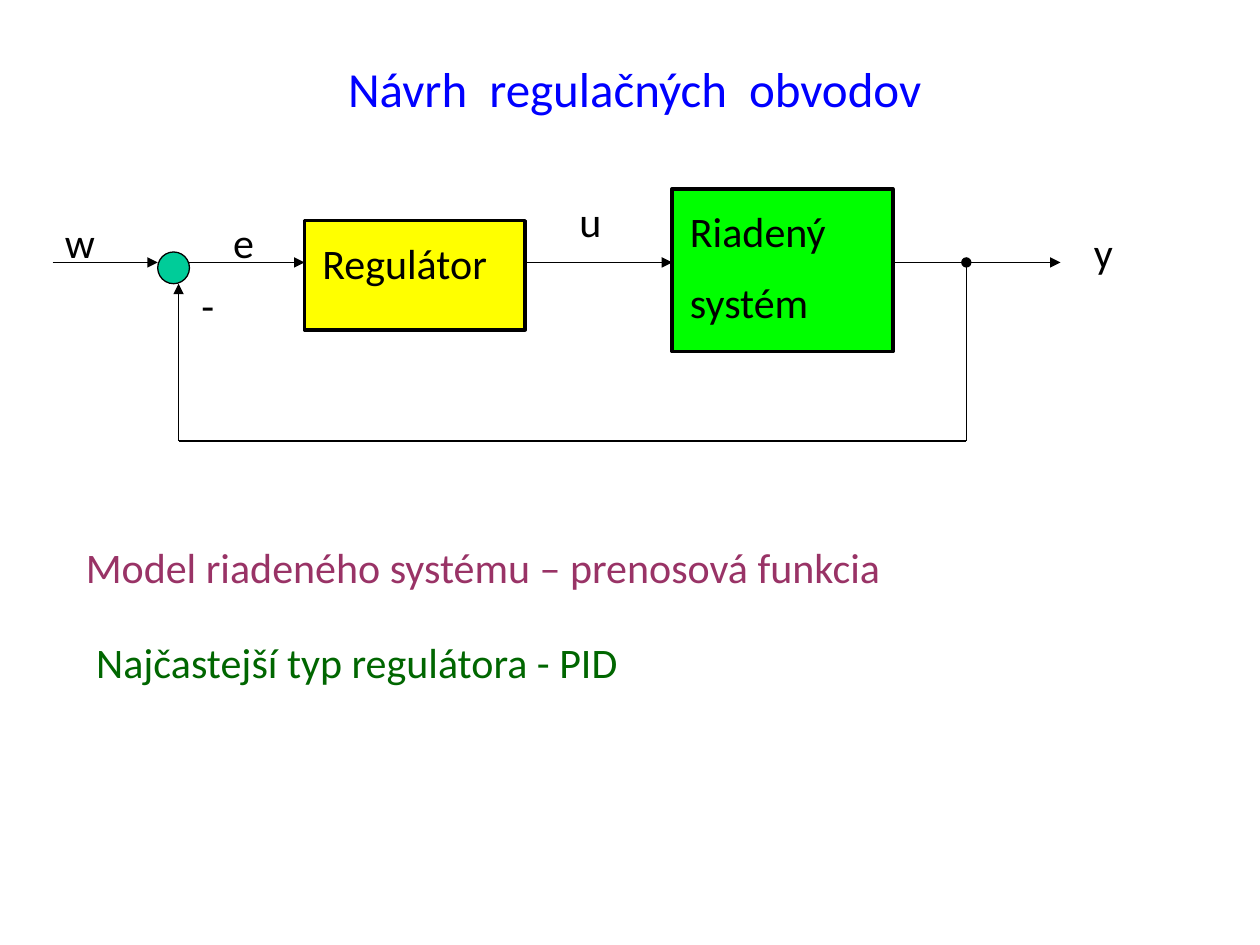
from pptx import Presentation
from pptx.dml.color import RGBColor
from pptx.enum.shapes import MSO_CONNECTOR, MSO_SHAPE
from pptx.enum.text import MSO_ANCHOR, PP_ALIGN
from pptx.oxml.ns import qn
from pptx.util import Cm, Pt
from lxml import etree

RECTANGLE, CIRCLE = MSO_SHAPE.RECTANGLE, MSO_SHAPE.OVAL
STRAIGHT = MSO_CONNECTOR.STRAIGHT
TOP, LEFT = MSO_ANCHOR.TOP, PP_ALIGN.LEFT

BLACK = RGBColor(0x00, 0x00, 0x00)
BLUE = RGBColor(0x00, 0x00, 0xFF)
YELLOW = RGBColor(0xFF, 0xFF, 0x00)
GREEN = RGBColor(0x00, 0xFF, 0x00)
TEAL = RGBColor(0x00, 0xCC, 0x99)
PLUM = RGBColor(0x99, 0x33, 0x66)
DARK_GREEN = RGBColor(0x00, 0x66, 0x00)

FONT = "Calibri"
LINE_HEIGHT = 1.27  # height of a one-line label, cm


def write(frame, lines, color=BLACK, size=24):
    """Fill a text frame with one paragraph per line."""
    frame.word_wrap = True
    frame.vertical_anchor = TOP
    for number, line in enumerate(lines):
        paragraph = frame.add_paragraph() if number else frame.paragraphs[0]
        paragraph.text = line
        paragraph.alignment = LEFT
        paragraph.space_before = Pt(size / 2 if number else 0)
        paragraph.font.name = FONT
        paragraph.font.size = Pt(size)
        paragraph.font.color.rgb = color


def add_label(slide, text, x, y, width, color=BLACK, size=24):
    label = slide.shapes.add_textbox(Cm(x), Cm(y), Cm(width), Cm(LINE_HEIGHT))
    write(label.text_frame, [text], color, size)


def add_outlined(slide, kind, x, y, width, height, fill, weight):
    shape = slide.shapes.add_shape(kind, Cm(x), Cm(y), Cm(width), Cm(height))
    shape.shadow.inherit = False
    shape.fill.solid()
    shape.fill.fore_color.rgb = fill
    shape.line.color.rgb = BLACK
    shape.line.width = Pt(weight)
    return shape


def add_block(slide, lines, x, y, width, height, fill):
    frame = add_outlined(slide, RECTANGLE, x, y, width, height, fill, 2).text_frame
    frame.margin_left = frame.margin_right = Cm(0.36)
    frame.margin_top = frame.margin_bottom = Cm(0.33)
    write(frame, lines)


def add_signal(slide, start, end, tip=None):
    """Draw a thin line, with an optional tip at its end."""
    signal = slide.shapes.add_connector(STRAIGHT, *map(Cm, start + end))
    signal.line.color.rgb = BLACK
    signal.line.width = Pt(0.75)
    properties = signal.element.spPr
    if tip:
        etree.SubElement(properties.find(qn("a:ln")), qn("a:tailEnd"), type=tip)
    etree.SubElement(properties, qn("a:effectLst"))


def add_control_loop(slide, left, top):
    """Closed loop: summing point, controller, plant and feedback."""
    block_width = 4.45
    controller_x, plant_x = left + 5.08, left + 12.49
    sum_x, sum_size = left + 2.12, 0.64
    sum_y = top + 1.27
    feedback_x, branch_x = left + 2.54, left + 18.42
    signal_y, feedback_y = top + 1.48, top + 5.08

    # Blocks and summing point
    add_block(slide, ["Regulátor"], controller_x, top + 0.64, block_width, 2.2, YELLOW)
    add_block(slide, ["Riadený", "systém"], plant_x, top, block_width, 3.28, GREEN)
    add_outlined(slide, CIRCLE, sum_x, sum_y, sum_size, sum_size, TEAL, 0.75)

    # Forward path
    for start_x, end_x in (
        (left, sum_x),
        (sum_x + sum_size, controller_x),
        (controller_x + block_width, plant_x),
        (plant_x + block_width, left + 20.32),
    ):
        add_signal(slide, (start_x, signal_y), (end_x, signal_y), "triangle")

    # Feedback path
    add_signal(slide, (feedback_x, feedback_y), (branch_x, feedback_y))
    add_signal(slide, (branch_x, feedback_y), (branch_x, signal_y), "oval")
    add_signal(slide, (feedback_x, feedback_y), (feedback_x, sum_y + sum_size), "triangle")

    # Signal names
    for name, x, y, width in (
        ("w", 0, 0.42, 1.48),
        ("e", 3.39, 0.42, 1.27),
        ("-", 2.75, 1.69, 1.06),
        ("u", 10.37, 0, 1.48),
        ("y", 20.74, 0.64, 1.91),
    ):
        add_label(slide, name, left + x, top + y, width)


def add_notes_on_model(slide, left, top):
    """Two statements below the loop."""
    add_label(slide, "Model riadeného systému – prenosová funkcia", left, top, 19.9, PLUM)
    add_label(slide, "Najčastejší typ regulátora - PID", left + 0.21, top + 1.91, 18.63, DARK_GREEN)


def main():
    deck = Presentation()
    deck.slide_width, deck.slide_height = Cm(25.4), Cm(19.05)
    slide = deck.slides.add_slide(deck.slide_layouts[6])
    add_label(slide, "Návrh  regulačných  obvodov", 6.77, 1.06, 14.18, BLUE, 28)
    add_control_loop(slide, 1.06, 3.81)
    add_notes_on_model(slide, 1.48, 10.8)
    deck.save("out.pptx")


if __name__ == "__main__":
    main()
